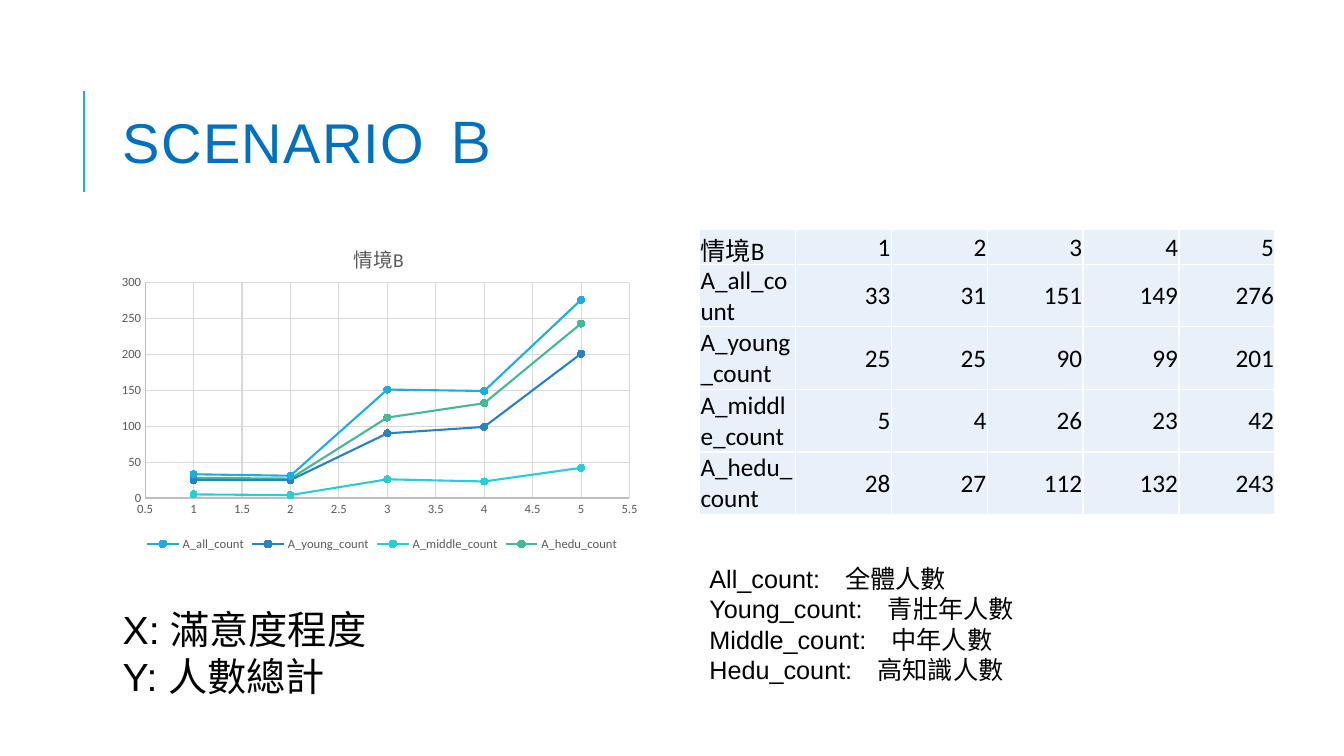
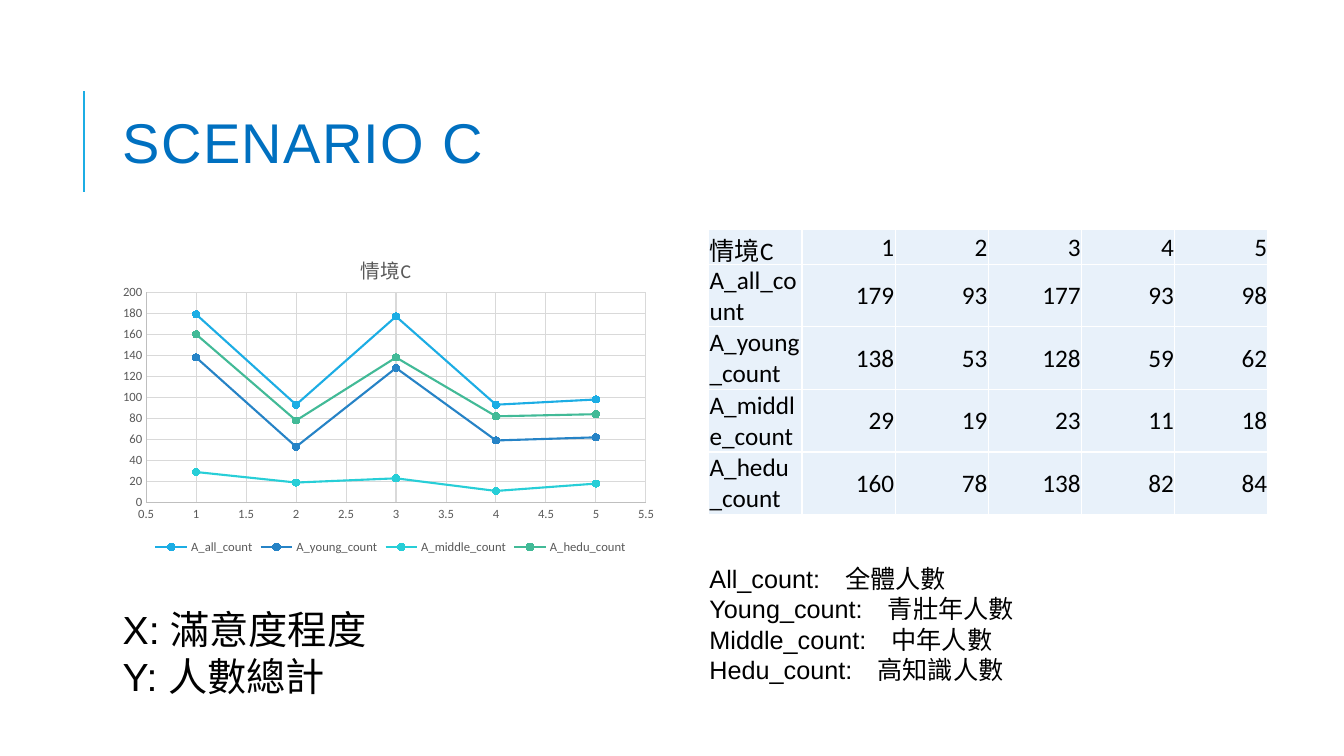
import pptx
import pptx.chart.data
import pptx.dml.color
import pptx.enum.chart
import pptx.enum.shapes
import pptx.enum.text
import pptx.oxml
import pptx.oxml.ns
import pptx.util

Pt = pptx.util.Pt
RGB = pptx.dml.color.RGBColor
ALIGN = pptx.enum.text.PP_ALIGN
ANCHOR = pptx.enum.text.MSO_ANCHOR

# Content
LEVELS = [1, 2, 3, 4, 5]
AXES_NOTE = ["X: 滿意度程度", "Y: 人數總計"]
GROUPS_NOTE = ["All_count:　全體人數", "Young_count:　青壯年人數",
               "Middle_count:　中年人數", "Hedu_count:　高知識人數"]
SCENARIOS = [
    dict(title="SCENARIO Ｂ", name="情境B", y_max=300, y_step=50,
         counts={"A_all_count": [33, 31, 151, 149, 276],
                 "A_young_count": [25, 25, 90, 99, 201],
                 "A_middle_count": [5, 4, 26, 23, 42],
                 "A_hedu_count": [28, 27, 112, 132, 243]},
         chart_box=(80.6, 156.2, 384.5, 240.5),
         table_left=499.7, col_width=68.5, note_width=379.4),
    dict(title="SCENARIO C", name="情境C", y_max=200, y_step=20,
         counts={"A_all_count": [179, 93, 177, 93, 98],
                 "A_young_count": [138, 53, 128, 59, 62],
                 "A_middle_count": [29, 19, 23, 11, 18],
                 "A_hedu_count": [160, 78, 138, 82, 84]},
         chart_box=(80.6, 164.2, 396.7, 234.7),
         table_left=506.2, col_width=66.6, note_width=406),
]

# Shared style
BLACK = RGB(0x00, 0x00, 0x00)
TITLE_BLUE = RGB(0x00, 0x70, 0xC0)
CELL_FILL = RGB(0xE8, 0xF1, 0xFA)
LABEL_GREY = RGB(0x59, 0x59, 0x59)
AXIS_GREY = RGB(0xBF, 0xBF, 0xBF)
GRID_GREY = RGB(0xD9, 0xD9, 0xD9)
ACCENT = RGB(0x1C, 0xAD, 0xE4)
SERIES_COLORS = [ACCENT, RGB(0x26, 0x83, 0xC6), RGB(0x27, 0xCE, 0xD7), RGB(0x42, 0xBA, 0x97)]
LEFT, TABLE_TOP = 80.6, 164.2
HEAD_HEIGHT, ROW_HEIGHT = 24.6, 44.7
PLOT_LAYOUT = dict(x=0.06, y=0.19, w=0.9, h=0.64)
TITLE_LAYOUT = dict(x=0.44, y=0.06)


def set_font(font, size, color, name="Calibri"):
    font.size, font.name, font.bold = Pt(size), name, False
    font.color.rgb = color


def set_line(line, color, width):
    line.color.rgb = color
    line.width = Pt(width)


def add_text(slide, box, lines, size, color=BLACK):
    tf = slide.shapes.add_textbox(*map(Pt, box)).text_frame
    tf.word_wrap = True
    tf.text = "\n".join(lines)
    for p in tf.paragraphs:
        for r in p.runs:
            set_font(r.font, size, color, "Arial")
    return tf


def add_title(slide, text):
    rule = slide.shapes.add_connector(pptx.enum.shapes.MSO_CONNECTOR.STRAIGHT,
                                      Pt(60), Pt(137), Pt(60), Pt(65))
    set_line(rule.line, ACCENT, 1.5)
    rule._element.spPr.append(pptx.oxml.parse_xml(
        f'<a:effectLst {pptx.oxml.ns.nsdecls("a")}/>'))
    tf = add_text(slide, (LEFT, 46.1, 765.4, 118.1), [text], 40, TITLE_BLUE)
    tf.vertical_anchor = ANCHOR.MIDDLE
    p = tf.paragraphs[0]
    p.line_spacing = 0.8
    p.runs[0].font._element.set("spc", "100")


def manual_layout(inner, **fractions):
    target = '<c:layoutTarget val="inner"/>' if inner else ""
    modes = "".join(f'<c:{k}Mode val="edge"/>' for k in "xy")
    values = "".join(f'<c:{k} val="{v}"/>' for k, v in fractions.items())
    return pptx.oxml.parse_xml(f'<c:layout {pptx.oxml.ns.nsdecls("c")}><c:manualLayout>'
                               f'{target}{modes}{values}</c:manualLayout></c:layout>')


def place(element, layout, before):
    for old in element.findall(pptx.oxml.ns.qn("c:layout")):
        element.remove(old)
    element.insert(before, layout)


def style_axis(axis, low, high, step):
    axis.minimum_scale, axis.maximum_scale, axis.major_unit = low, high, step
    axis.major_tick_mark = axis.minor_tick_mark = pptx.enum.chart.XL_TICK_MARK.NONE
    axis.has_major_gridlines = True
    set_line(axis.major_gridlines.format.line, GRID_GREY, 0.75)
    set_line(axis.format.line, AXIS_GREY, 0.75)
    set_font(axis.tick_labels.font, 9, LABEL_GREY)
    axis.tick_labels.number_format = "General"
    axis.tick_labels.number_format_is_linked = False


def add_scatter(slide, scenario):
    data = pptx.chart.data.XyChartData()
    for name, counts in scenario["counts"].items():
        series = data.add_series(name)
        for level, count in zip(LEVELS, counts):
            series.add_data_point(level, count)
    chart = slide.shapes.add_chart(pptx.enum.chart.XL_CHART_TYPE.XY_SCATTER_SMOOTH,
                                   *map(Pt, scenario["chart_box"]), data).chart
    set_font(chart.font, 10, BLACK)

    # Title, legend and axes
    chart.has_title = True
    tf = chart.chart_title.text_frame
    tf.text = scenario["name"]
    set_font(tf.paragraphs[0].runs[0].font, 14, LABEL_GREY)
    place(chart.chart_title._element, manual_layout(False, **TITLE_LAYOUT), 1)
    place(chart._chartSpace.chart.plotArea, manual_layout(True, **PLOT_LAYOUT), 0)
    chart.has_legend = True
    chart.legend.position = pptx.enum.chart.XL_LEGEND_POSITION.BOTTOM
    chart.legend.include_in_layout = False
    set_font(chart.legend.font, 9, LABEL_GREY)
    style_axis(chart.category_axis, 0.5, 5.5, 0.5)
    style_axis(chart.value_axis, 0, scenario["y_max"], scenario["y_step"])

    # Curves
    plot = chart.plots[0]
    plot.vary_by_categories = False
    for series, color in zip(plot.series, SERIES_COLORS):
        series.smooth = True
        set_line(series.format.line, color, 1.5)
        marker = series.marker
        marker.style, marker.size = pptx.enum.chart.XL_MARKER_STYLE.CIRCLE, 5
        marker.format.fill.solid()
        marker.format.fill.fore_color.rgb = color
        set_line(marker.format.line, color, 0.75)


def style_cell(cell, value, align):
    cell.text = str(value)
    p = cell.text_frame.paragraphs[0]
    p.alignment = align
    set_font(p.runs[0].font, 18, BLACK)
    cell.vertical_anchor = ANCHOR.MIDDLE
    cell.margin_left = cell.margin_right = cell.margin_top = Pt(0.7)
    cell.margin_bottom = 0
    cell.fill.solid()
    cell.fill.fore_color.rgb = CELL_FILL
    for i, side in enumerate("LRTB"):
        cell._tc.tcPr.insert(i, pptx.oxml.parse_xml(
            f'<a:ln{side} {pptx.oxml.ns.nsdecls("a")} w="{Pt(1)}"><a:solidFill>'
            f'<a:srgbClr val="FFFFFF"/></a:solidFill></a:ln{side}>'))


def add_counts_table(slide, scenario):
    rows = [[scenario["name"], *LEVELS]]
    rows += [[name, *counts] for name, counts in scenario["counts"].items()]
    heights = [HEAD_HEIGHT] + [ROW_HEIGHT] * (len(rows) - 1)
    width = scenario["col_width"]
    table = slide.shapes.add_table(len(rows), len(rows[0]), Pt(scenario["table_left"]),
                                   Pt(TABLE_TOP), Pt(width * len(rows[0])),
                                   Pt(sum(heights))).table
    table.first_row = table.horz_banding = False
    for column in table.columns:
        column.width = Pt(width)
    for r, (row, height) in enumerate(zip(rows, heights)):
        table.rows[r].height = Pt(height)
        for c, value in enumerate(row):
            style_cell(table.cell(r, c), value, ALIGN.RIGHT if c else ALIGN.LEFT)


def main():
    prs = pptx.Presentation()
    prs.slide_width, prs.slide_height = Pt(960), Pt(540)
    for scenario in SCENARIOS:
        slide = prs.slides.add_slide(prs.slide_layouts[6])
        add_title(slide, scenario["title"])
        add_text(slide, (LEFT, 429.1, 297.4, 74.9), AXES_NOTE, 28)
        add_text(slide, (499.7, 398.9, scenario["note_width"], 94.3), GROUPS_NOTE, 18)
        add_counts_table(slide, scenario)
        add_scatter(slide, scenario)
    prs.save("out.pptx")


if __name__ == "__main__":
    main()
